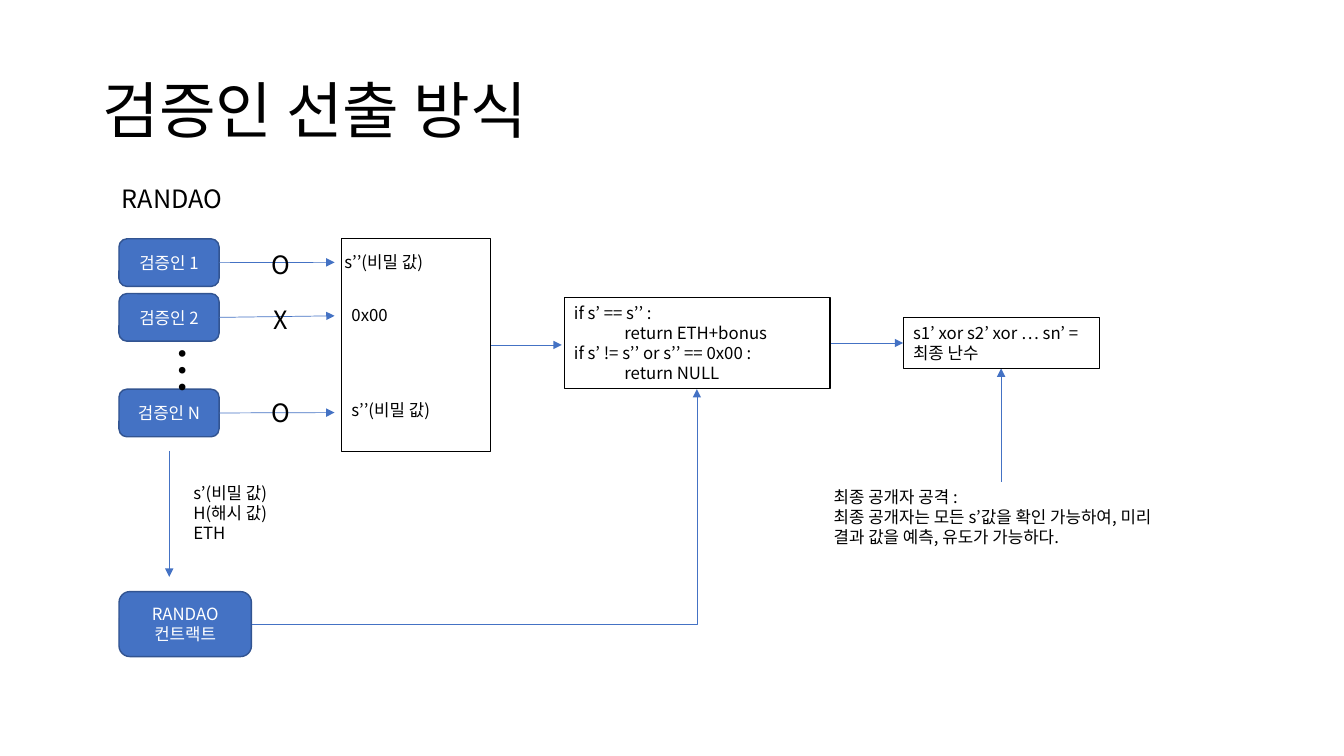
from dataclasses import dataclass
from typing import Optional

import pptx
import pptx.dml.color
import pptx.enum.shapes
import pptx.enum.text
import pptx.oxml.ns
import pptx.util
from lxml import etree

Pt = pptx.util.Pt
Anchor = pptx.enum.text.MSO_ANCHOR
Align = pptx.enum.text.PP_ALIGN
AutoSize = pptx.enum.text.MSO_AUTO_SIZE
Preset = pptx.enum.shapes.MSO_SHAPE
Route = pptx.enum.shapes.MSO_CONNECTOR
qn = pptx.oxml.ns.qn


@dataclass(frozen=True)
class Theme:
    font: str = "Noto Sans CJK KR"
    ink: str = "000000"
    paper: str = "FFFFFF"
    accent: str = "4472C4"
    accent_edge: str = "325491"
    title: float = 44
    dots: float = 36
    heading: float = 18
    body: float = 12


@dataclass(frozen=True)
class Node:
    """A filled, rounded actor of the protocol."""
    text: str
    left: float
    top: float
    width: float
    height: float


@dataclass(frozen=True)
class Frame:
    """An outlined box, with or without text."""
    text: str
    left: float
    top: float
    width: float
    height: float


@dataclass(frozen=True)
class Label:
    text: str
    left: float
    top: float
    width: float
    height: float
    size: float
    rotation: float = 0


@dataclass(frozen=True)
class Arrow:
    x1: float
    y1: float
    x2: float
    y2: float
    bent: bool = False


THEME = Theme()


def rgb(code: str) -> pptx.dml.color.RGBColor:
    return pptx.dml.color.RGBColor.from_string(code)


def style_text(frame, size: float, color: str, align: Optional[Align] = Align.LEFT) -> None:
    for paragraph in frame.paragraphs:
        paragraph.alignment = align
        for run in paragraph.runs:
            run.font.size = Pt(size)
            run.font.name = THEME.font
            run.font.color.rgb = rgb(color)
            east_asian = etree.Element(qn("a:ea"), typeface=THEME.font)
            run.font._element.find(qn("a:latin")).addnext(east_asian)


def draw_title(slide, text: str) -> None:
    title = slide.shapes.title
    title.left, title.top, title.width, title.height = Pt(66), Pt(28.8), Pt(828), Pt(104.4)
    frame = title.text_frame
    frame.text = text
    frame.auto_size = AutoSize.NONE
    frame.vertical_anchor = Anchor.MIDDLE
    frame.paragraphs[0].line_spacing = 0.9
    style_text(frame, THEME.title, THEME.ink)


def draw_node(slide, node: Node) -> None:
    box = slide.shapes.add_shape(Preset.ROUNDED_RECTANGLE, Pt(node.left), Pt(node.top),
                                 Pt(node.width), Pt(node.height))
    box.shadow.inherit = False
    box.fill.solid()
    box.fill.fore_color.rgb = rgb(THEME.accent)
    box.line.color.rgb = rgb(THEME.accent_edge)
    box.line.width = Pt(1)
    box.text_frame.text = node.text
    box.text_frame.vertical_anchor = Anchor.MIDDLE
    style_text(box.text_frame, THEME.body, THEME.paper, Align.CENTER)


def draw_frame(slide, outline: Frame) -> None:
    box = slide.shapes.add_shape(Preset.RECTANGLE, Pt(outline.left), Pt(outline.top),
                                 Pt(outline.width), Pt(outline.height))
    box.shadow.inherit = False
    box.fill.background()
    box.line.color.rgb = rgb(THEME.ink)
    box.line.width = Pt(0.75)
    if outline.text:
        box.text_frame.text = outline.text
        box.text_frame.vertical_anchor = Anchor.TOP
        style_text(box.text_frame, THEME.body, THEME.ink)


def draw_label(slide, label: Label) -> None:
    box = slide.shapes.add_textbox(Pt(label.left), Pt(label.top), Pt(label.width), Pt(label.height))
    box.rotation = label.rotation
    frame = box.text_frame
    frame.text = label.text
    frame.word_wrap = True
    frame.auto_size = AutoSize.SHAPE_TO_FIT_TEXT
    style_text(frame, label.size, THEME.ink)


def draw_arrow(slide, arrow: Arrow) -> None:
    route = Route.ELBOW if arrow.bent else Route.STRAIGHT
    connector = slide.shapes.add_connector(route, Pt(arrow.x1), Pt(arrow.y1),
                                           Pt(arrow.x2), Pt(arrow.y2))
    connector.line.color.rgb = rgb(THEME.accent)
    connector.line.width = Pt(0.5)
    properties = connector._element.spPr
    if arrow.bent:  # a single corner
        properties.find(qn("a:prstGeom")).set("prst", "bentConnector2")
    etree.SubElement(properties.find(qn("a:ln")), qn("a:tailEnd"), type="triangle")
    etree.SubElement(properties, qn("a:effectLst"))


# Actors: the validators and the contract
NODE_LEFT, NODE_WIDTH, NODE_HEIGHT = 85, 71.5, 34
VALIDATOR_TOPS = {"1": 170.6, "2": 209.7, "N": 278}
NODES = [Node(f"검증인 {number}", NODE_LEFT, top, NODE_WIDTH, NODE_HEIGHT)
         for number, top in VALIDATOR_TOPS.items()]
NODES.append(Node("RANDAO\n컨트랙트", NODE_LEFT, 422.6, 94.6, 46.4))

# Boxes: revealed values, reward rule, final random number
FRAMES = [
    Frame("", 244, 170.6, 106.6, 152),
    Frame("if s’ == s’’ :\n\treturn ETH+bonus\nif s’ != s’’ or s’’ == 0x00 :\n\treturn NULL",
          402.9, 212.4, 190, 65.4),
    Frame("s1’ xor s2’ xor … sn’ = 최종 난수", 645.1, 226.8, 140, 36.3),
]

LABELS = [
    Label("RANDAO", 80, 127.4, 491, 29, THEME.heading),
    Label("…", 109.4, 235.4, 42.5, 51, THEME.dots, 90),
    Label("s’(비밀 값)\nH(해시 값)\vETH", 131, 341.3, 94.3, 51, THEME.body),
    # Revealed values
    Label("s’’(비밀 값)", 239, 176.4, 71.5, 21.8, THEME.body),
    Label("0x00", 244, 213.8, 71.5, 21.8, THEME.body),
    Label("s’’(비밀 값)", 244, 282.2, 71.5, 21.8, THEME.body),
    # Reveal marks
    Label("O", 187.2, 174.2, 21.6, 29, THEME.heading),
    Label("X", 188.6, 213.8, 21.6, 29, THEME.heading),
    Label("O", 187.2, 280.1, 21.6, 29, THEME.heading),
    # Attack note
    Label("최종 공개자 공격 :\n최종 공개자는 모든 s’값을 확인 가능하여, 미리 결과 값을 예측, 유도가 가능하다.",
          588.4, 344.2, 253.4, 51, THEME.body),
]

REVEAL_ENDS = (187.4, 225.6, 294.7)
ARROWS = [Arrow(NODE_LEFT + NODE_WIDTH, top + NODE_HEIGHT / 2, 239, end)
          for top, end in zip(VALIDATOR_TOPS.values(), REVEAL_ENDS)]
ARROWS += [
    Arrow(120.9, 322, 120.9, 412),
    Arrow(179.8, 445.8, 497.8, 277.9, bent=True),
    Arrow(350.6, 246.4, 401.3, 246.4),
    Arrow(592.9, 245, 645.1, 245),
    Arrow(715.1, 344.2, 715.1, 263.2),
]


def main() -> None:
    deck = pptx.Presentation()
    deck.slide_width, deck.slide_height = Pt(960), Pt(540)
    slide = deck.slides.add_slide(deck.slide_layouts[5])
    draw_title(slide, "검증인 선출 방식")
    for node in NODES:
        draw_node(slide, node)
    for arrow in ARROWS:
        draw_arrow(slide, arrow)
    for outline in FRAMES:
        draw_frame(slide, outline)
    for label in LABELS:
        draw_label(slide, label)
    deck.save("out.pptx")


if __name__ == "__main__":
    main()
